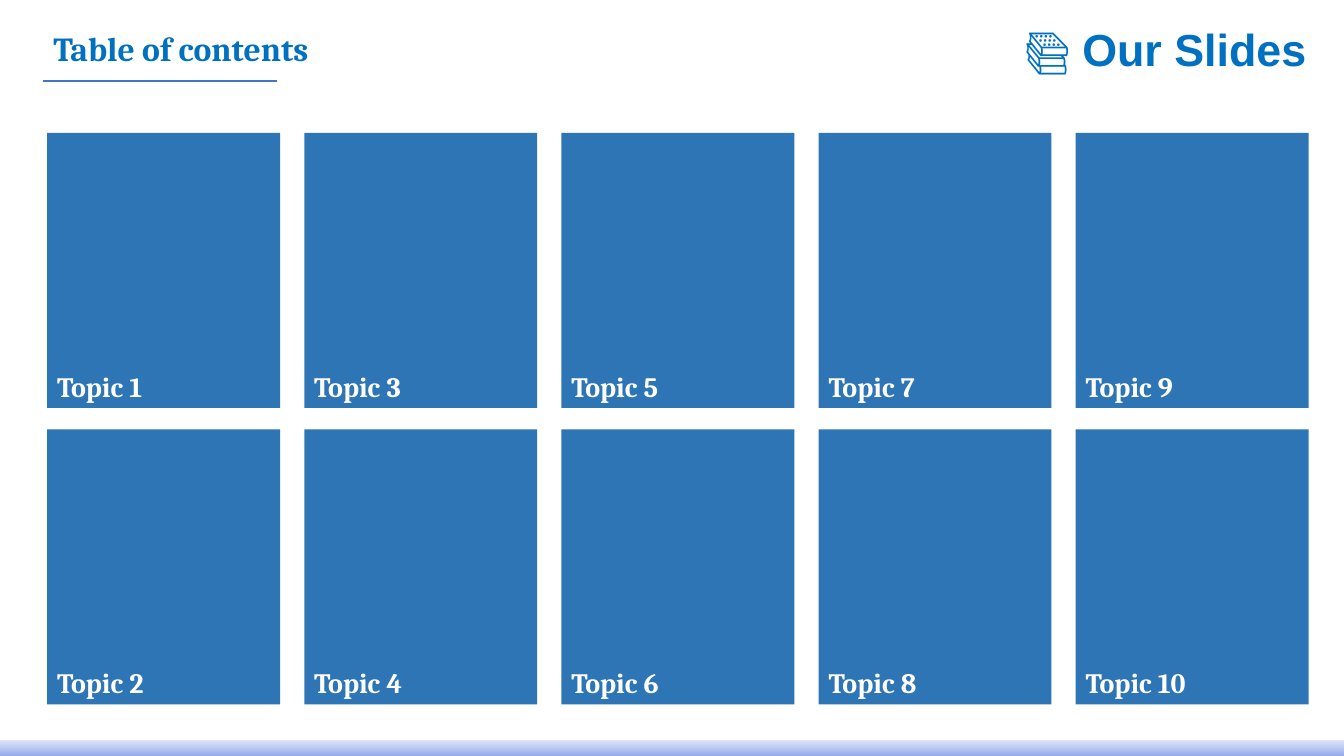
"""Build a table of contents slide with a grid of ten topic tiles."""
from lxml.etree import SubElement
from pptx import Presentation
from pptx.dml.color import RGBColor
from pptx.enum.shapes import MSO_CONNECTOR, MSO_SHAPE
from pptx.enum.text import MSO_ANCHOR, MSO_AUTO_SIZE, PP_ALIGN
from pptx.oxml.ns import qn
from pptx.util import Cm, Pt

HEADING = "Table of contents"
BRAND = "📚 Our Slides"
TOPICS = [f"Topic {number}" for number in range(1, 11)]

COLOURS = {
    "accent": "0070C0",
    "rule": "4472C4",
    "tile": "2E75B6",
    "tile_text": "FFFFFF",
    "band_bottom": "96ABEA",
    "band_top": "E0E5F7",
}
FONTS = {
    "heading": {"name": "Cambria", "size": Pt(24), "bold": True},
    "brand": {"name": "Arial", "size": Pt(32), "bold": True},
    "tile": {"name": "Cambria", "size": Pt(20), "bold": True},
}
FRAMES = {
    "heading": {"vertical_anchor": MSO_ANCHOR.TOP},
    "brand": {"vertical_anchor": MSO_ANCHOR.TOP},
    "tile": {"vertical_anchor": MSO_ANCHOR.BOTTOM},
}
PARAGRAPHS = {
    "heading": {"alignment": PP_ALIGN.LEFT},
    "brand": {"alignment": PP_ALIGN.RIGHT},
    "tile": {"alignment": PP_ALIGN.LEFT, "line_spacing": 1.5},
}

SLIDE_SIZE = (33.87, 19.05)
HEADING_BOX = (1.09, 0.58, 22.38, 1.27)
BRAND_BOX = (24.49, 0.43, 8.69, 1.63)
RULE_ENDS = (1.09, 2.05, 6.99, 2.05)
BAND_BOX = (0, 18.64, 33.87, 0.41)
ROWS = 2
GRID_LEFT, GRID_TOP = 1.19, 3.35
TILE_WIDTH, TILE_HEIGHT = 5.87, 6.93
COLUMN_STEP, ROW_STEP = 6.48, 7.47


def colour(key):
    return RGBColor.from_string(COLOURS[key])


def lengths(values):
    return [Cm(value) for value in values]


def apply(target, values):
    for attribute, value in values.items():
        setattr(target, attribute, value)


def write(shape, text, role, text_colour):
    frame = shape.text_frame
    frame.text = text
    apply(frame, {"word_wrap": True, "auto_size": MSO_AUTO_SIZE.NONE, **FRAMES[role]})
    paragraph = frame.paragraphs[0]
    apply(paragraph, PARAGRAPHS[role])
    font = paragraph.runs[0].font
    apply(font, FONTS[role])
    font.color.rgb = colour(text_colour)


def add_block(slide, box):
    block = slide.shapes.add_shape(MSO_SHAPE.RECTANGLE, *lengths(box))
    block.shadow.inherit = False
    block.line.fill.background()
    return block


def add_band(slide):
    fill = add_block(slide, BAND_BOX).fill
    fill.gradient()
    fill.gradient_angle = 90
    for stop, key in zip(fill.gradient_stops, ("band_bottom", "band_top")):
        stop.color.rgb = colour(key)


def add_header(slide):
    heading = slide.shapes.title
    apply(heading, dict(zip(("left", "top", "width", "height"), lengths(HEADING_BOX))))
    write(heading, HEADING, "heading", "accent")
    brand = slide.shapes.add_textbox(*lengths(BRAND_BOX))
    write(brand, BRAND, "brand", "accent")
    rule = slide.shapes.add_connector(MSO_CONNECTOR.STRAIGHT, *lengths(RULE_ENDS))
    rule.line.color.rgb = colour("rule")
    rule.line.width = Pt(1.5)
    SubElement(rule.element.spPr, qn("a:effectLst"))


def add_topics(slide):
    for index, topic in enumerate(TOPICS):
        column, row = divmod(index, ROWS)
        left = GRID_LEFT + column * COLUMN_STEP
        top = GRID_TOP + row * ROW_STEP
        tile = add_block(slide, (left, top, TILE_WIDTH, TILE_HEIGHT))
        tile.fill.solid()
        tile.fill.fore_color.rgb = colour("tile")
        write(tile, topic, "tile", "tile_text")


def main():
    deck = Presentation()
    deck.slide_width, deck.slide_height = lengths(SLIDE_SIZE)
    slide = deck.slides.add_slide(deck.slide_layouts.get_by_name("Title Only"))
    add_band(slide)
    add_header(slide)
    add_topics(slide)
    deck.save("out.pptx")


if __name__ == "__main__":
    main()
